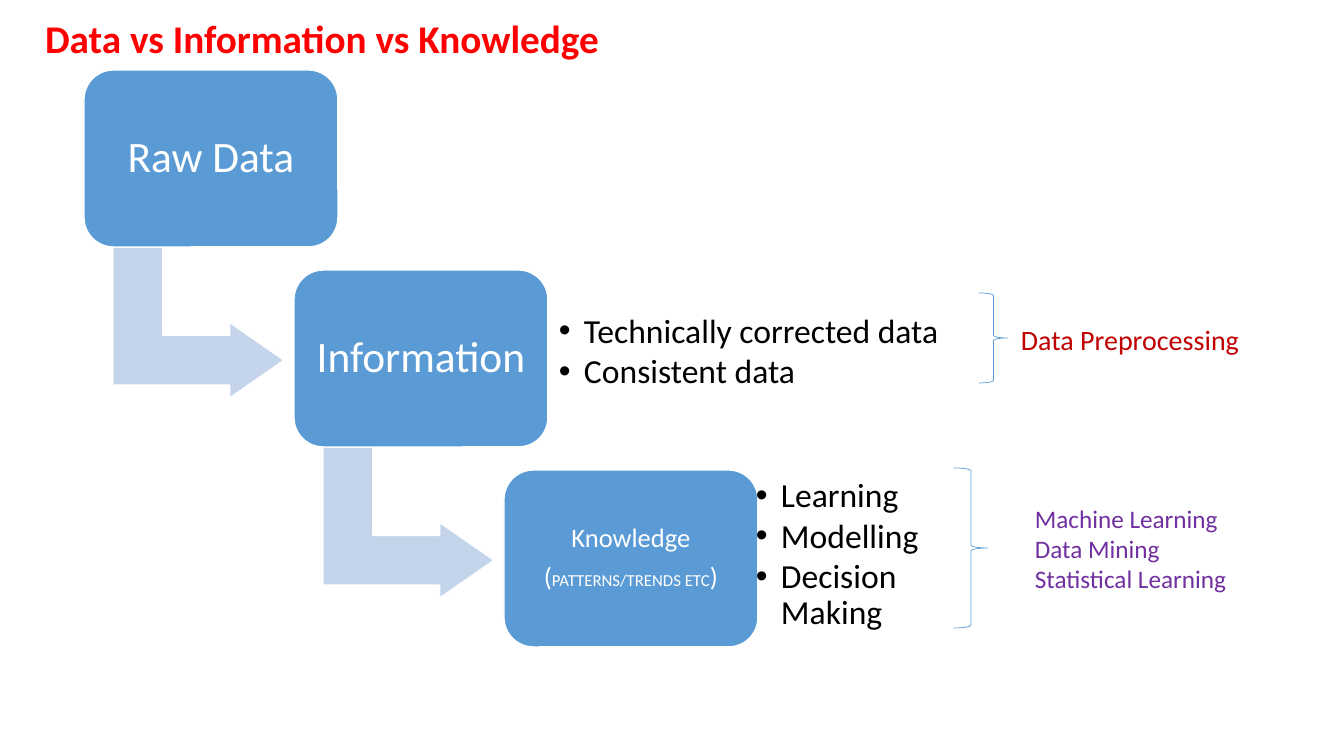
from pptx import Presentation
from pptx import util as u
from pptx.dml import color
from pptx.enum import shapes, text

SCALE = 914400 / 100.8
FONT = "Calibri"
BLUE, PALE, WHITE = "5B9BD5", "C4D5EB", "FFFFFF"
STEP_X, STEP_Y = 210, 200


def px(length):
    """Turn pixels into EMU."""
    return u.Emu(round(length * SCALE))


def colour(code):
    """Turn a hex string into a colour."""
    return color.RGBColor.from_string(code)


def apply(target, formats):
    """Set every attribute in a dict of format values."""
    for name, value in formats.items():
        setattr(target, name, value)


def place(box, left, top, width, height):
    """Move and size a box given in pixels."""
    apply(box, {"left": px(left), "top": px(top),
                "width": px(width), "height": px(height)})


def set_frame(box, inset, anchor=text.MSO_ANCHOR.MIDDLE):
    """Format the frame of a box that wraps its text."""
    margins = {f"margin_{side}": px(inset) for side in ("left", "top", "right", "bottom")}
    apply(box.text_frame, {"word_wrap": True, "auto_size": text.MSO_AUTO_SIZE.NONE,
                           "vertical_anchor": anchor, **margins})


def write(box, lines, code, bold=False, **formats):
    """Write paragraphs, each a list of (words, size) spans."""
    frame = box.text_frame
    for number, line in enumerate(lines):
        para = frame.add_paragraph() if number else frame.paragraphs[0]
        apply(para, {"space_before": u.Pt(0), **formats})
        for words, size in line:
            span = para.add_run()
            span.text = words
            apply(span.font, {"name": FONT, "size": u.Pt(size), "bold": bold})
            span.font.color.rgb = colour(code)


def add_shape(page, kind, area, fill=None, line=WHITE, weight=1.0):
    """Add a preset shape without a shadow."""
    box = page.shapes.add_shape(kind, *map(px, area))
    box.shadow.inherit = False
    if fill:
        box.fill.solid()
        box.fill.fore_color.rgb = colour(fill)
    else:
        box.fill.background()
    box.line.color.rgb = colour(line)
    box.line.width = u.Pt(weight)
    return box


def add_arrow(page, level):
    """Add the bent arrow that leads from one step to the next."""
    area = (123 + level * STEP_X, 237 + level * STEP_Y, 151, 171)
    arrow = add_shape(page, shapes.MSO_SHAPE.BENT_UP_ARROW, area, PALE)
    arrow.rotation = 90
    for number, value in enumerate((0.33, 0.25, 0.36)):
        arrow.adjustments[number] = value


def add_step(page, level, lines, inset, gap):
    """Add one rounded step of the staircase."""
    area = (84 + level * STEP_X, 70 + level * STEP_Y, 254, 177)
    box = add_shape(page, shapes.MSO_SHAPE.ROUNDED_RECTANGLE, area, BLUE)
    set_frame(box, inset)
    write(box, lines, WHITE, alignment=text.PP_ALIGN.CENTER,
          line_spacing=0.9, space_after=u.Pt(gap))


def fill_list(page, box, area, inset, items):
    """Fill a body placeholder with bullets and bring it to the front."""
    place(box, *area)
    set_frame(box, inset)
    write(box, [[(item, 24)] for item in items], "000000",
          line_spacing=0.9, space_after=u.Pt(3))
    for para in box.text_frame.paragraphs:
        properties = para._p.get_or_add_pPr()
        properties.set("marL", str(px(25)))
        properties.set("indent", str(px(-25)))
    page.shapes._spTree.append(box._element)


def add_label(page, area, items, size, code):
    """Add a label that fits its text."""
    box = page.shapes.add_textbox(*map(px, area))
    apply(box.text_frame, {"word_wrap": False,
                           "auto_size": text.MSO_AUTO_SIZE.SHAPE_TO_FIT_TEXT})
    write(box, [[(item, size)] for item in items], code)


def main():
    """Build the slide and save it."""
    deck = Presentation()
    apply(deck, {"slide_width": px(1344), "slide_height": px(756)})
    page = deck.slides.add_slide(deck.slide_layouts[3])
    title, information, knowledge = list(page.placeholders)[:3]

    place(title, 35, 13, 1159, 55)
    set_frame(title, 5)
    title.text_frame.margin_left = px(10)
    write(title, [[("Data vs Information vs Knowledge", 28)]], "FF0000", bold=True,
          alignment=text.PP_ALIGN.LEFT, line_spacing=0.9)

    steps = [
        ([[("Raw Data", 31)]], 13, 11),
        ([[("Information", 31)]], 13, 11),
        ([[("Knowledge", 19)],
          [("(", 19), ("PATTERNS/TRENDS ETC", 12), (")", 19)]], 8, 7),
    ]
    for level, step in enumerate(steps):
        if level < len(steps) - 1:
            add_arrow(page, level)
        add_step(page, level, *step)

    fill_list(page, information, (546, 281, 424, 143), 13,
              ["Technically corrected data", "Consistent data"])
    fill_list(page, knowledge, (746, 484, 225, 143), 10,
              ["Learning", "Modelling", "Decision Making"])

    for area in ((954, 468, 34, 160), (979, 293, 29, 90)):
        add_shape(page, shapes.MSO_SHAPE.RIGHT_BRACE, area, line=BLUE, weight=0.5)
    add_label(page, (1025, 498, 220, 102),
              ["Machine Learning", "Data Mining", "Statistical Learning"], 18, "7030A0")
    add_label(page, (1011, 318, 241, 44), ["Data Preprocessing"], 20, "C00000")

    deck.save("out.pptx")


if __name__ == "__main__":
    main()
